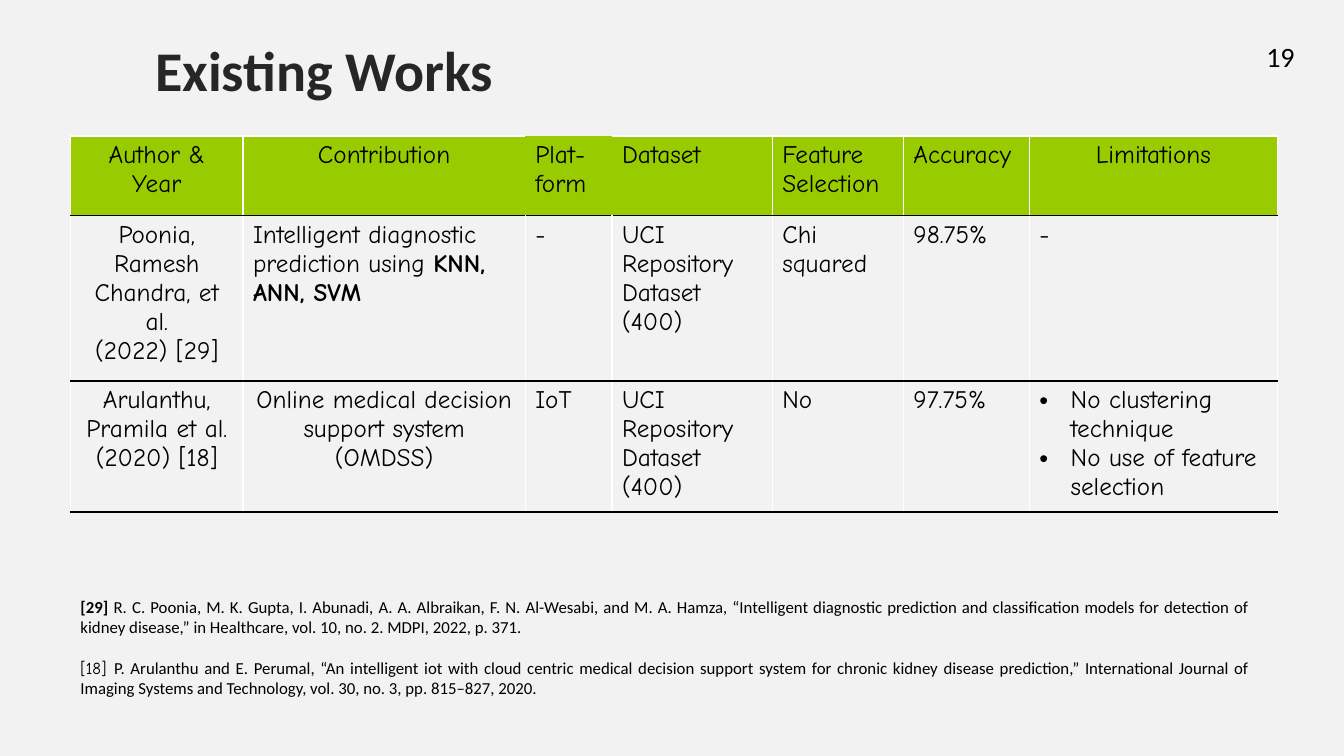
from dataclasses import dataclass

from lxml.etree import SubElement
from pptx import Presentation
from pptx.dml.color import RGBColor
from pptx.enum.text import MSO_ANCHOR, MSO_AUTO_SIZE, PP_ALIGN
from pptx.oxml.ns import qn
from pptx.slide import Slide
from pptx.table import _Cell
from pptx.text.text import TextFrame, _Paragraph
from pptx.util import Inches, Pt

BLACK, WHITE, GREEN = "000000", "FFFFFF", "99CC00"
BODY_FONT, TABLE_FONT = "Calibri", "Comic Neue"
LEFT, CENTER = PP_ALIGN.LEFT, PP_ALIGN.CENTER


@dataclass(frozen=True)
class Span:
    text: str
    bold: bool = False
    font: str = BODY_FONT


@dataclass(frozen=True)
class Entry:
    """The content of one table cell, one tuple of spans per paragraph."""
    paragraphs: tuple[tuple[Span, ...], ...]
    align: PP_ALIGN = LEFT
    bulleted: bool = False


def entry(*lines: str, align: PP_ALIGN = LEFT, bulleted: bool = False) -> Entry:
    paragraphs = tuple((Span(line, font=TABLE_FONT),) for line in lines)
    return Entry(paragraphs, align, bulleted)


COLUMN_WIDTHS = (1.71, 2.8, 0.86, 1.59, 1.3, 1.25, 2.46)
ROW_HEIGHTS = (0.79, 1.64, 1.25)
DATASET = entry("UCI Repository Dataset (400)")
WORKS = (
    (
        entry("Author & Year", align=CENTER),
        entry("Contribution", align=CENTER),
        entry("Plat-form"),
        entry("Dataset"),
        entry("Feature Selection"),
        entry("Accuracy"),
        entry("Limitations", align=CENTER),
    ),
    (
        entry("Poonia, Ramesh Chandra, et al.", "(2022) [29]", align=CENTER),
        Entry(((Span("Intelligent diagnostic prediction using ", font=TABLE_FONT),
                Span("KNN, ANN, SVM", True, TABLE_FONT)),)),
        entry("-"),
        DATASET,
        entry("Chi squared"),
        entry("98.75%"),
        entry("-"),
    ),
    (
        entry("Arulanthu, Pramila et al.", "(2020) [18]", align=CENTER),
        entry("Online medical decision support system (OMDSS)", align=CENTER),
        entry("IoT"),
        DATASET,
        entry("No"),
        entry("97.75%"),
        entry("No clustering technique", "No use of feature selection", bulleted=True),
    ),
)
# Header edges left open, by column
OPEN_HEADER_EDGES = {1: "R", 2: "LRT", 3: "L"}

REFERENCES = (
    (Span("[29] ", bold=True),
     Span("R. C. Poonia, M. K. Gupta, I. Abunadi, A. A. Albraikan, F. N. Al-Wesabi, "
          "and M. A. Hamza, “Intelligent diagnostic prediction and classification "
          "models for detection of kidney disease,” in Healthcare, vol. 10, no. 2. "
          "MDPI, 2022, p. 371.")),
    (Span("[18] ", font=TABLE_FONT),
     Span("P. Arulanthu and E. Perumal, “An intelligent iot with cloud centric medical "
          "decision support system for chronic kidney disease prediction,” International "
          "Journal of Imaging Systems and Technology, vol. 30, no. 3, pp. 815–827, 2020.")),
)


def rgb(color: str) -> RGBColor:
    return RGBColor.from_string(color)


def write_spans(paragraph: _Paragraph, spans: tuple[Span, ...], size: float,
                color: str = BLACK) -> None:
    for span in spans:
        run = paragraph.add_run()
        run.text = span.text
        formats = {"name": span.font, "size": Pt(size), "bold": span.bold}
        for attribute, value in formats.items():
            setattr(run.font, attribute, value)
        run.font.color.rgb = rgb(color)


def write_paragraphs(frame: TextFrame, paragraphs: tuple[tuple[Span, ...], ...],
                     size: float, align: PP_ALIGN, gap: float = 0) -> None:
    for index, spans in enumerate(paragraphs):
        paragraph = frame.add_paragraph() if index else frame.paragraphs[0]
        paragraph.alignment = align
        if index and gap:
            paragraph.space_before = Pt(gap)
        write_spans(paragraph, spans, size)


def add_bullet(paragraph: _Paragraph) -> None:
    properties = paragraph._p.get_or_add_pPr()
    indent = Inches(0.31)
    properties.set("marL", str(indent))
    properties.set("indent", str(-indent))
    SubElement(properties, qn("a:buFont")).set("typeface", "Arial")
    SubElement(properties, qn("a:buChar")).set("char", "•")


def set_borders(cell: _Cell, colors: dict[str, str | None]) -> None:
    """Draw the edges L, R, T and B in that order; None leaves an edge open."""
    properties = cell._tc.get_or_add_tcPr()
    for position, (edge, color) in enumerate(colors.items()):
        line = SubElement(properties, qn(f"a:ln{edge}"))
        line.set("w", str(Pt(1)))
        if color:
            fill = SubElement(line, qn("a:solidFill"))
            SubElement(fill, qn("a:srgbClr")).set("val", color)
        else:
            SubElement(line, qn("a:noFill"))
        properties.insert(position, line)


def add_text(slide: Slide, box: tuple[float, float, float, float],
             paragraphs: tuple[tuple[Span, ...], ...], size: float,
             align: PP_ALIGN, gap: float = 0) -> None:
    frame = slide.shapes.add_textbox(*map(Inches, box)).text_frame
    frame.word_wrap = True
    write_paragraphs(frame, paragraphs, size, align, gap)


def add_title(slide: Slide, text: str) -> None:
    title = slide.shapes.title
    place = {"left": 0.81, "top": 0.26, "width": 11.5, "height": 0.94}
    for attribute, value in place.items():
        setattr(title, attribute, Inches(value))
    frame = title.text_frame
    formats = {"auto_size": MSO_AUTO_SIZE.NONE, "margin_left": Inches(0.73),
               "vertical_anchor": MSO_ANCHOR.MIDDLE, "word_wrap": True}
    for attribute, value in formats.items():
        setattr(frame, attribute, value)
    heading = frame.paragraphs[0]
    heading.alignment = LEFT
    heading.line_spacing = 0.9
    write_spans(heading, (Span(text, bold=True),), 40, "262626")


def add_works_table(slide: Slide) -> None:
    table = slide.shapes.add_table(
        len(ROW_HEIGHTS), len(COLUMN_WIDTHS), Inches(0.7), Inches(1.35),
        Inches(sum(COLUMN_WIDTHS)), Inches(sum(ROW_HEIGHTS))).table
    table.first_row = table.horz_banding = False
    for column, width in zip(table.columns, COLUMN_WIDTHS):
        column.width = Inches(width)
    for row_index, (row, height) in enumerate(zip(table.rows, ROW_HEIGHTS)):
        row.height = Inches(height)
        is_header = row_index == 0
        for column_index, content in enumerate(WORKS[row_index]):
            cell = row.cells[column_index]
            write_paragraphs(cell.text_frame, content.paragraphs, 18, content.align)
            if content.bulleted:
                for paragraph in cell.text_frame.paragraphs:
                    add_bullet(paragraph)
            borders = {"L": WHITE, "R": WHITE, "T": BLACK, "B": BLACK}
            if is_header:
                cell.fill.solid()
                cell.fill.fore_color.rgb = rgb(GREEN)
                borders["T"] = WHITE
                for edge in OPEN_HEADER_EDGES.get(column_index, ""):
                    borders[edge] = None
            else:
                cell.fill.background()
            set_borders(cell, borders)


def main() -> None:
    presentation = Presentation()
    presentation.slide_width, presentation.slide_height = Inches(13.33), Inches(7.5)
    slide = presentation.slides.add_slide(presentation.slide_layouts.get_by_name("Title Only"))
    slide.background.fill.solid()
    slide.background.fill.fore_color.rgb = rgb("F2F2F2")
    add_text(slide, (12.4, 0.34, 0.54, 0.4), ((Span("19"),),), 20, PP_ALIGN.RIGHT)
    add_title(slide, "Existing Works")
    add_works_table(slide)
    add_text(slide, (0.7, 5.87, 11.8, 1.11), REFERENCES, 12, PP_ALIGN.JUSTIFY, gap=14.6)
    presentation.save("out.pptx")


if __name__ == "__main__":
    main()
